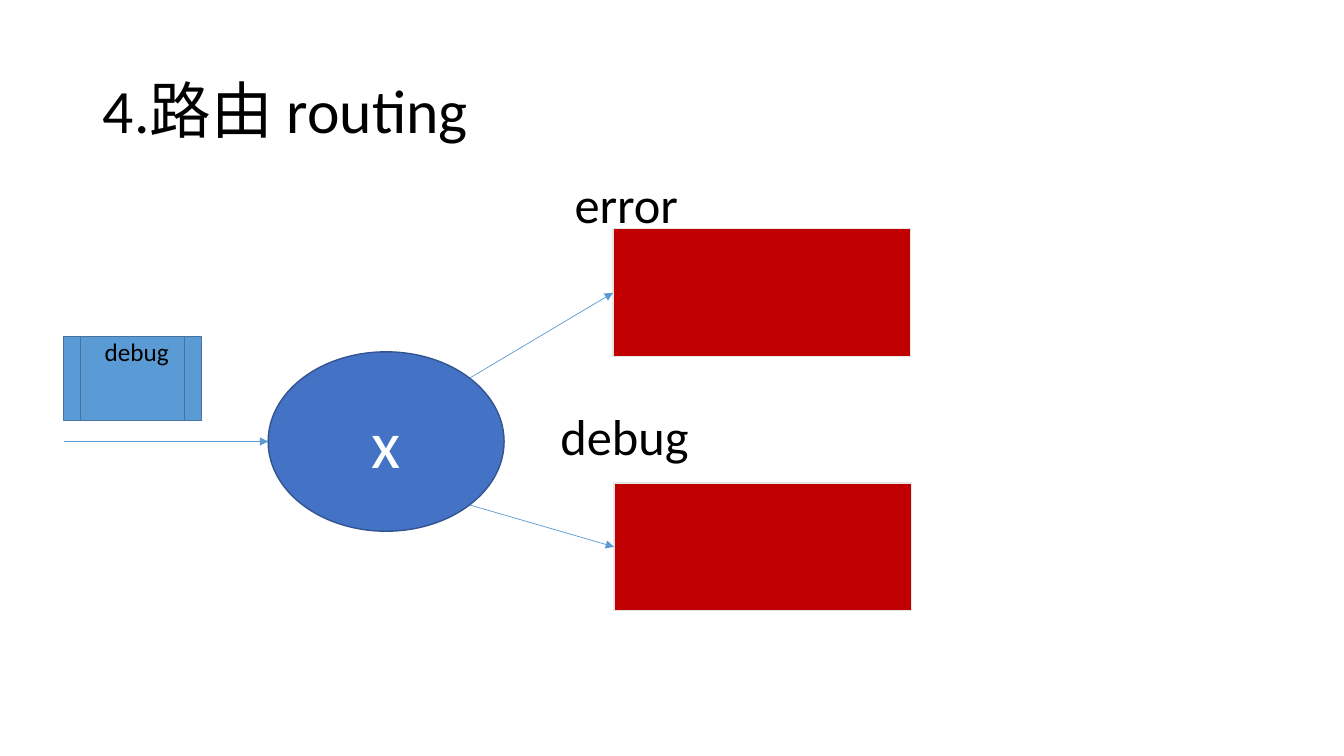
from dataclasses import dataclass

from pptx import Presentation
from pptx import util as u
from pptx.dml.color import RGBColor
from pptx.enum import shapes, text
from pptx.oxml.ns import qn

PX = 9144  # EMU per px, 100 px to the inch
FONT = "Calibri"
COLORS = {
    "black": "000000", "white": "FFFFFF",
    "exchange": "4472C4", "exchange_edge": "325491",
    "queue": "C00000", "queue_edge": "E7E6E6",
    "message": "5B9BD5", "message_edge": "43739E",
    "arrow": "5B9BD5",
}


@dataclass(frozen=True)
class Box:
    left: int
    top: int
    width: int
    height: int

    def emu(self) -> list[int]:
        return [v * PX for v in (self.left, self.top, self.width, self.height)]


@dataclass(frozen=True)
class Queue:
    key: str
    box: Box
    key_box: Box
    arrow_start: tuple[int, int]


QUEUES = [
    Queue("error", Box(608, 227, 295, 127), Box(560, 167, 124, 71), (466, 375)),
    Queue("debug", Box(609, 479, 295, 127), Box(546, 397, 149, 71), (466, 501)),
]


def color(name: str) -> RGBColor:
    return RGBColor.from_string(COLORS[name])


def write(frame, words: str, size: int, ink: str, align=text.PP_ALIGN.LEFT):
    frame.text = words
    paragraph = frame.paragraphs[0]
    paragraph.alignment = align
    paragraph.font.name = FONT
    paragraph.font.size = u.Pt(size)
    paragraph.font.color.rgb = color(ink)
    return paragraph


def add_block(slide, kind, box: Box, fill: str):
    """Add a filled shape outlined in the matching edge colour."""
    block = slide.shapes.add_shape(kind, *box.emu())
    block.shadow.inherit = False
    block.fill.solid()
    block.fill.fore_color.rgb = color(fill)
    block.line.color.rgb = color(f"{fill}_edge")
    block.line.width = u.Pt(1)
    return block


def add_label(slide, words: str, box: Box, size: int) -> None:
    frame = slide.shapes.add_textbox(*box.emu()).text_frame
    frame.word_wrap = False
    frame.auto_size = text.MSO_AUTO_SIZE.SHAPE_TO_FIT_TEXT
    write(frame, words, size, "black")


def add_arrow(slide, start: tuple[int, int], end: tuple[int, int]):
    arrow = slide.shapes.add_connector(
        shapes.MSO_CONNECTOR.STRAIGHT, *(v * PX for v in start + end))
    arrow.line.color.rgb = color("arrow")
    arrow.line.width = u.Pt(0.5)
    line = arrow.line._get_or_add_ln()
    line.append(line.makeelement(qn("a:tailEnd"), {"type": "triangle"}))
    properties = arrow._element.spPr
    properties.append(properties.makeelement(qn("a:effectLst"), {}))
    return arrow


def add_title(slide) -> None:
    title = slide.shapes.title
    title.left, title.top, title.width, title.height = Box(92, 40, 1150, 145).emu()
    title.text_frame.vertical_anchor = text.MSO_ANCHOR.MIDDLE
    write(title.text_frame, "4.路由 routing", 44, "black").line_spacing = 0.9


def main() -> None:
    deck = Presentation()
    deck.slide_width, deck.slide_height = 1333 * PX, 750 * PX
    slide = deck.slides.add_slide(deck.slide_layouts[5])
    add_title(slide)

    exchange = add_block(slide, shapes.MSO_SHAPE.OVAL, Box(266, 349, 234, 178), "exchange")
    exchange.text_frame.vertical_anchor = text.MSO_ANCHOR.MIDDLE
    write(exchange.text_frame, "x", 48, "white", text.PP_ALIGN.CENTER)

    for queue in QUEUES:
        block = add_block(slide, shapes.MSO_SHAPE.RECTANGLE, queue.box, "queue")
        add_label(slide, queue.key, queue.key_box, 36)
        middle = queue.box.top + queue.box.height // 2
        add_arrow(slide, queue.arrow_start, (queue.box.left, middle)).end_connect(block, 1)

    add_arrow(slide, (63, 438), (266, 438))
    add_block(slide, shapes.MSO_SHAPE.FLOWCHART_PREDEFINED_PROCESS,
              Box(63, 334, 137, 83), "message")
    add_label(slide, "debug", Box(94, 329, 85, 40), 18)
    deck.save("out.pptx")


if __name__ == "__main__":
    main()
